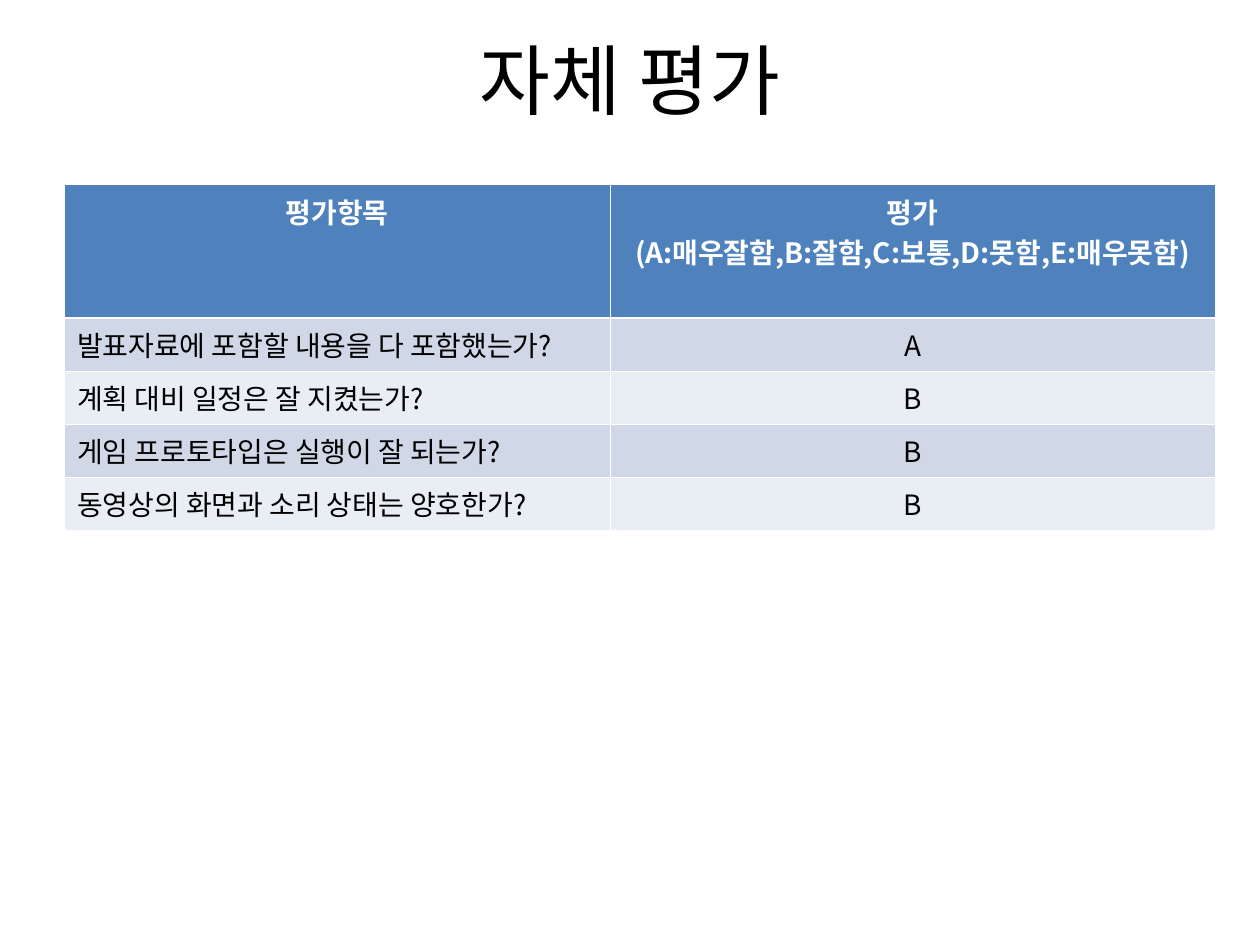
from lxml.etree import SubElement
from pptx import Presentation
from pptx.dml.color import RGBColor
from pptx.enum.text import MSO_ANCHOR as Anchor, PP_ALIGN as Align
from pptx.oxml import parse_xml
from pptx.oxml.ns import nsdecls, qn
from pptx.util import Cm, Pt

FONT = "Noto Sans CJK KR"
HEADER = ["평가항목", "평가\n(A:매우잘함,B:잘함,C:보통,D:못함,E:매우못함)"]
RATINGS = [
    ["발표자료에 포함할 내용을 다 포함했는가?", "A"],
    ["계획 대비 일정은 잘 지켰는가?", "B"],
    ["게임 프로토타입은 실행이 잘 되는가?", "B"],
    ["동영상의 화면과 소리 상태는 양호한가?", "B"],
]
COLUMN_WIDTHS = [Cm(11), Cm(12.19)]
HEADER_HEIGHT, ROW_HEIGHT = Cm(2.69), Cm(1.07)
THIN, THICK = Pt(0.45), Pt(1.47)


def color(value):
    return RGBColor.from_string(value)


def style_paragraph(para, size, text_color, align, bold=False):
    para.alignment = align
    font = para.font
    font.name, font.size, font.bold = FONT, Pt(size), bold
    font.color.rgb = color(text_color)
    properties = para._p.get_or_add_pPr().find(qn("a:defRPr"))
    SubElement(properties, qn("a:ea")).set("typeface", FONT)


def add_title(page, text):
    box = page.shapes.add_textbox(Cm(1.27), 0, Cm(22.86), Cm(3.18))
    frame = box.text_frame
    frame.word_wrap = True
    frame.vertical_anchor = Anchor.MIDDLE
    frame.text = text
    style_paragraph(frame.paragraphs[0], 44, "000000", Align.CENTER)


def set_borders(cell, top, bottom):
    properties = cell._tc.get_or_add_tcPr()
    widths = {"lnL": THIN, "lnR": THIN, "lnT": top, "lnB": bottom}
    for index, (side, width) in enumerate(widths.items()):
        properties.insert(index, parse_xml(
            f'<a:{side} {nsdecls("a")} w="{int(width)}"><a:solidFill>'
            f'<a:srgbClr val="FFFFFF"/></a:solidFill></a:{side}>'))


def fill_cell(cell, text, fill, text_color, align, bold):
    cell.text = text
    cell.fill.solid()
    cell.fill.fore_color.rgb = color(fill)
    for para in cell.text_frame.paragraphs:
        properties = para._p.get_or_add_pPr()
        properties.set("marL", str(Cm(0.95)))
        properties.set("indent", str(-Cm(0.95)))
        style_paragraph(para, 16, text_color, align, bold)


def add_rating_table(page):
    rows = [HEADER, *RATINGS]
    height = HEADER_HEIGHT + ROW_HEIGHT * len(RATINGS)
    table = page.shapes.add_table(len(rows), len(HEADER), Cm(1.3), Cm(3.72),
                                  sum(COLUMN_WIDTHS), height).table
    for column, width in zip(table.columns, COLUMN_WIDTHS):
        column.width = width
    for row, texts in enumerate(rows):
        header = row == 0
        table.rows[row].height = HEADER_HEIGHT if header else ROW_HEIGHT
        band = "D0D8E8" if row % 2 else "E9EDF4"
        for column, text in enumerate(texts):
            cell = table.cell(row, column)
            fill_cell(cell, text,
                      "4F81BD" if header else band,
                      "FFFFFF" if header else "000000",
                      Align.CENTER if header or column else Align.LEFT,
                      header)
            set_borders(cell, THICK if row == 1 else THIN, THICK if header else THIN)


def main():
    deck = Presentation()
    deck.slide_width, deck.slide_height = Cm(25.4), Cm(19.05)
    page = deck.slides.add_slide(deck.slide_layouts[6])
    add_title(page, "자체 평가")
    add_rating_table(page)
    deck.save("out.pptx")


if __name__ == "__main__":
    main()
